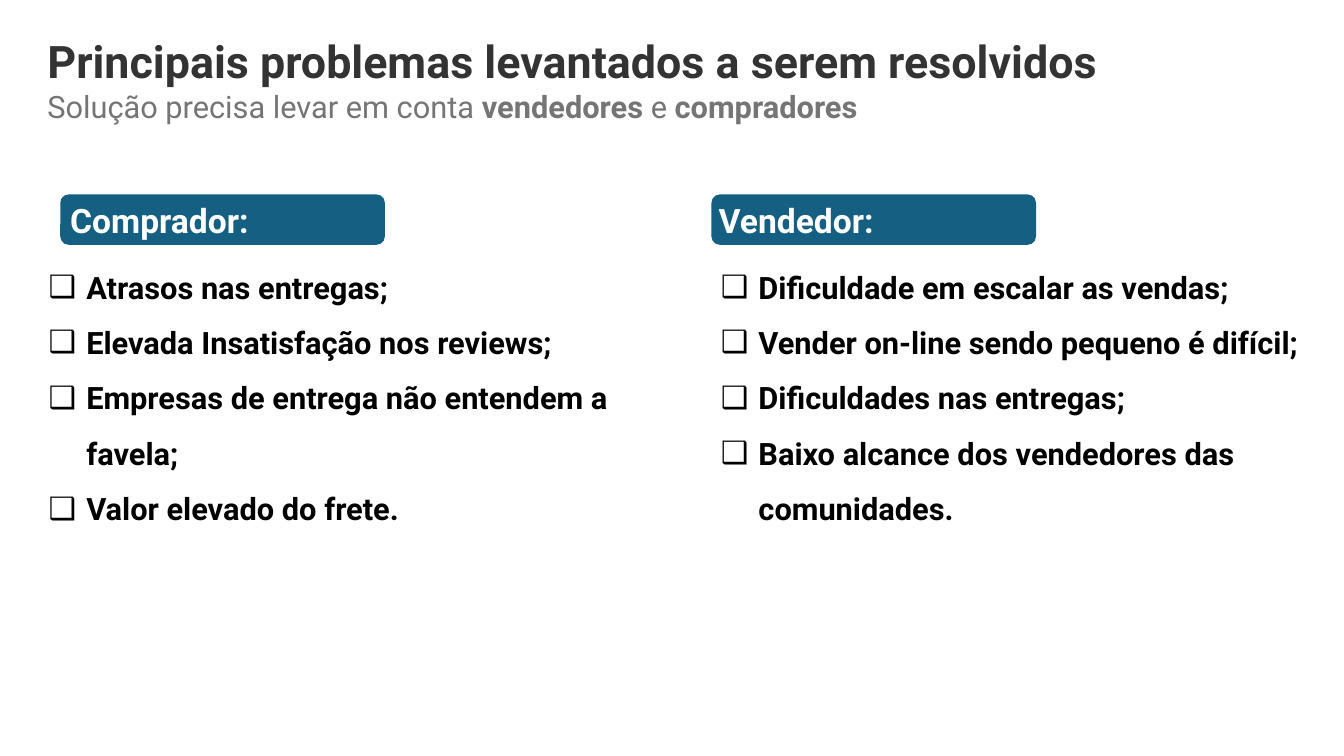
import lxml.etree
import pptx
import pptx.dml.color
import pptx.enum.shapes
import pptx.enum.text
import pptx.oxml.ns
import pptx.util
from pptx.util import Cm

COLORS = {
    "title": "333333",
    "subtitle": "757575",
    "band": "156082",
    "heading": "FFFFFF",
    "item": "000000",
}
FONT = "Roboto"
TWO_CONTENT_LAYOUT = 3

# heading, items, band left, heading inset, list left (cm)
AUDIENCES = [
    ("Comprador:",
     ["Atrasos nas entregas;",
      "Elevada Insatisfação nos reviews;",
      "Empresas de entrega não entendem a favela;",
      "Valor elevado do frete."],
     1.52, 0.19, 0.97),
    ("Vendedor:",
     ["Dificuldade em escalar as vendas;",
      "Vender on-line sendo pequeno é difícil;",
      "Dificuldades nas entregas;",
      "Baixo alcance dos vendedores das comunidades."],
     17.93, 0.12, 17.91),
]


def rgb(name):
    return pptx.dml.color.RGBColor.from_string(COLORS[name])


def write(paragraph, text, size, color, bold=False, spacing=1.0):
    """Append one formatted run to a left-aligned paragraph."""
    paragraph.alignment = pptx.enum.text.PP_ALIGN.LEFT
    paragraph.line_spacing = spacing
    paragraph.space_before = pptx.util.Pt(0)
    run = paragraph.add_run()
    run.text = text
    run.font.name = FONT
    run.font.size = pptx.util.Pt(size)
    run.font.bold = bold
    run.font.color.rgb = rgb(color)


def place(placeholder, left, top, width, height):
    """Move a placeholder and return its top-anchored text frame."""
    placeholder.left, placeholder.top = Cm(left), Cm(top)
    placeholder.width, placeholder.height = Cm(width), Cm(height)
    frame = placeholder.text_frame
    frame.word_wrap = True
    frame.auto_size = pptx.enum.text.MSO_AUTO_SIZE.NONE
    frame.vertical_anchor = pptx.enum.text.MSO_ANCHOR.TOP
    return frame


def add_checkbox_bullet(paragraph):
    properties = paragraph._p.get_or_add_pPr()
    properties.set("marL", str(Cm(0.95)))
    properties.set("indent", str(Cm(-0.95)))
    for tag, attribute, value in (("a:buFont", "typeface", "Arial"),
                                  ("a:buChar", "char", "❑")):
        bullet = lxml.etree.SubElement(properties, pptx.oxml.ns.qn(tag))
        bullet.set(attribute, value)


def fill_title(title):
    frame = place(title, 0.94, 0.05, 32.41, 3.25)
    write(frame.paragraphs[0], "Principais problemas levantados a serem resolvidos",
          size=32, color="title", bold=True, spacing=1.5)
    subtitle = frame.add_paragraph()
    for text, bold in (("Solução precisa levar em conta ", False),
                       ("vendedores", True), (" e ", False), ("compradores", True)):
        write(subtitle, text, size=22, color="subtitle", bold=bold)


def add_heading(slide, text, left, inset):
    band = slide.shapes.add_shape(
        pptx.enum.shapes.MSO_SHAPE.ROUNDED_RECTANGLE,
        Cm(left), Cm(4.9), Cm(8.18), Cm(1.27))
    band.shadow.inherit = False
    band.fill.solid()
    band.fill.fore_color.rgb = rgb("band")
    band.line.fill.background()
    frame = band.text_frame
    frame.margin_left = Cm(inset)
    frame.vertical_anchor = pptx.enum.text.MSO_ANCHOR.MIDDLE
    write(frame.paragraphs[0], text, size=24, color="heading", bold=True)


def fill_list(body, items, left):
    frame = place(body, left, 6.17, 15.95, 7.14)
    for index, item in enumerate(items):
        paragraph = frame.add_paragraph() if index else frame.paragraphs[0]
        write(paragraph, item, size=22, color="item", bold=True, spacing=1.5)
        add_checkbox_bullet(paragraph)


def main():
    deck = pptx.Presentation()
    deck.slide_width, deck.slide_height = Cm(33.87), Cm(19.05)
    slide = deck.slides.add_slide(deck.slide_layouts[TWO_CONTENT_LAYOUT])
    fill_title(slide.shapes.title)
    bodies = list(slide.placeholders)[1:]
    for body, (heading, items, band_left, inset, list_left) in zip(bodies, AUDIENCES):
        add_heading(slide, heading, band_left, inset)
        fill_list(body, items, list_left)
    deck.save("out.pptx")


if __name__ == "__main__":
    main()
